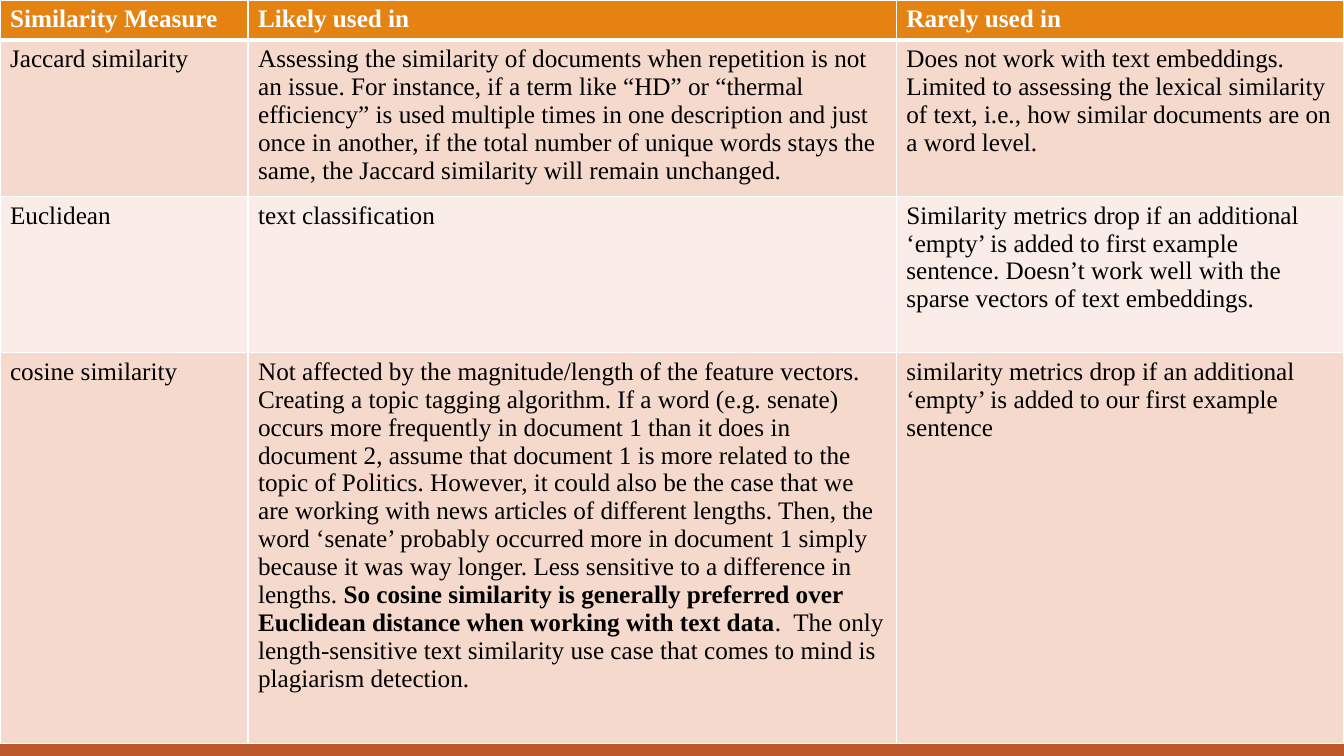
"""Build a slide with a table comparing text similarity measures."""
from dataclasses import dataclass

from lxml.etree import SubElement
from pptx import Presentation
from pptx.dml.color import RGBColor
from pptx.enum.shapes import MSO_SHAPE
from pptx.oxml.ns import qn
from pptx.slide import Slide
from pptx.table import _Cell
from pptx.util import Inches, Pt

WHITE = RGBColor(0xFF, 0xFF, 0xFF)
BLACK = RGBColor(0x00, 0x00, 0x00)
ORANGE = RGBColor(0xE4, 0x83, 0x12)
RUST = RGBColor(0xBD, 0x58, 0x2C)
PEACH = RGBColor(0xF5, 0xD9, 0xCC)
PALE_PEACH = RGBColor(0xFA, 0xED, 0xE7)

SLIDE_WIDTH, SLIDE_HEIGHT = Inches(13.33), Inches(7.5)
COLUMN_WIDTHS = (2.46, 6.43, 4.44)
BODY_FORMAT = {"name": "Times New Roman", "size": Pt(18)}


@dataclass(frozen=True)
class Passage:
    text: str
    bold: bool = False


@dataclass(frozen=True)
class MeasureRow:
    height: float
    fill: RGBColor
    cells: tuple[tuple[Passage, ...], ...]
    ink: RGBColor = BLACK
    top_border: float = 1
    bottom_border: float = 1


ROWS = (
    MeasureRow(0.4, ORANGE, (
        (Passage("Similarity Measure", True),),
        (Passage("Likely used in", True),),
        (Passage("Rarely used in", True),),
    ), ink=WHITE, bottom_border=3),
    MeasureRow(1.55, PEACH, (
        (Passage("Jaccard similarity"),),
        (Passage(
            "Assessing the similarity of documents when repetition is not an issue. "
            "For instance, if a term like “HD” or “thermal efficiency” is used multiple "
            "times in one description and just once in another, if the total number of "
            "unique words stays the same, the Jaccard similarity will remain unchanged."),),
        (Passage(
            "Does not work with text embeddings. Limited to assessing the lexical "
            "similarity of text, i.e., how similar documents are on a word level."),),
    ), top_border=3),
    MeasureRow(1.55, PALE_PEACH, (
        (Passage("Euclidean"),),
        (Passage("text classification"),),
        (Passage(
            "Similarity metrics drop if an additional ‘empty’ is added to first example "
            "sentence. Doesn’t work well with the sparse vectors of text embeddings."),),
    )),
    MeasureRow(3.88, PEACH, (
        (Passage("cosine similarity"),),
        (
            Passage(
                "Not affected by the magnitude/length of the feature vectors. Creating a "
                "topic tagging algorithm. If a word (e.g. senate) occurs more frequently in "
                "document 1 than it does in document 2, assume that document 1 is more "
                "related to the topic of Politics. However, it could also be the case that "
                "we are working with news articles of different lengths. Then, the word "
                "‘senate’ probably occurred more in document 1 simply because it was way "
                "longer. Less sensitive to a difference in lengths. "),
            Passage(
                "So cosine similarity is generally preferred over Euclidean distance when "
                "working with text data", True),
            Passage(
                ".  The only length-sensitive text similarity use case that comes to mind "
                "is plagiarism detection."),
        ),
        (Passage(
            "similarity metrics drop if an additional ‘empty’ is added to our first "
            "example sentence"),),
    )),
)


def draw_footer_band(slide: Slide) -> None:
    height = Inches(0.5)
    band = slide.shapes.add_shape(
        MSO_SHAPE.RECTANGLE, 0, SLIDE_HEIGHT - height, SLIDE_WIDTH, height)
    band.shadow.inherit = False
    band.fill.solid()
    band.fill.fore_color.rgb = RUST
    band.line.fill.background()


def draw_borders(cell: _Cell, row: MeasureRow) -> None:
    properties = cell._tc.get_or_add_tcPr()
    widths = {"lnL": 1, "lnR": 1, "lnT": row.top_border, "lnB": row.bottom_border}
    for side, width in widths.items():
        border = SubElement(properties, qn(f"a:{side}"), w=str(Pt(width)))
        paint = SubElement(border, qn("a:solidFill"))
        SubElement(paint, qn("a:srgbClr"), val=str(WHITE))


def fill_cell(cell: _Cell, passages: tuple[Passage, ...], row: MeasureRow) -> None:
    draw_borders(cell, row)
    cell.fill.solid()
    cell.fill.fore_color.rgb = row.fill
    paragraph = cell.text_frame.paragraphs[0]
    for passage in passages:
        run = paragraph.add_run()
        run.text = passage.text
        for attribute, value in {**BODY_FORMAT, "bold": passage.bold}.items():
            setattr(run.font, attribute, value)
        run.font.color.rgb = row.ink


def draw_measures(slide: Slide) -> None:
    total_height = Inches(sum(row.height for row in ROWS))
    measures = slide.shapes.add_table(
        len(ROWS), len(COLUMN_WIDTHS), 0, 0, SLIDE_WIDTH, total_height).table
    for column, width in zip(measures.columns, COLUMN_WIDTHS):
        column.width = Inches(width)
    for table_row, row in zip(measures.rows, ROWS):
        table_row.height = Inches(row.height)
        for cell, passages in zip(table_row.cells, row.cells):
            fill_cell(cell, passages, row)


def main() -> None:
    presentation = Presentation()
    presentation.slide_width = SLIDE_WIDTH
    presentation.slide_height = SLIDE_HEIGHT
    slide = presentation.slides.add_slide(presentation.slide_layouts[6])
    draw_footer_band(slide)
    draw_measures(slide)
    presentation.save("out.pptx")


if __name__ == "__main__":
    main()
